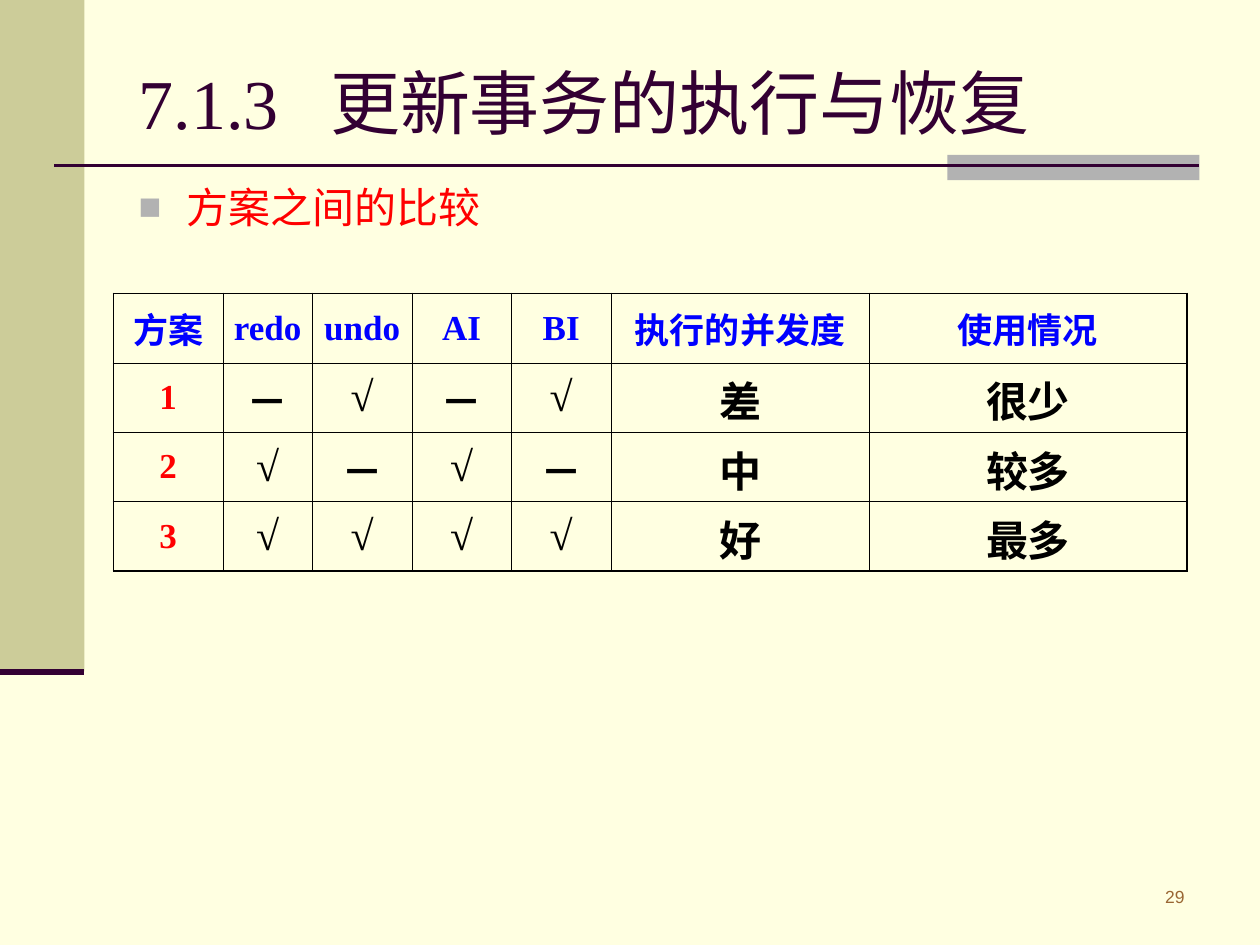
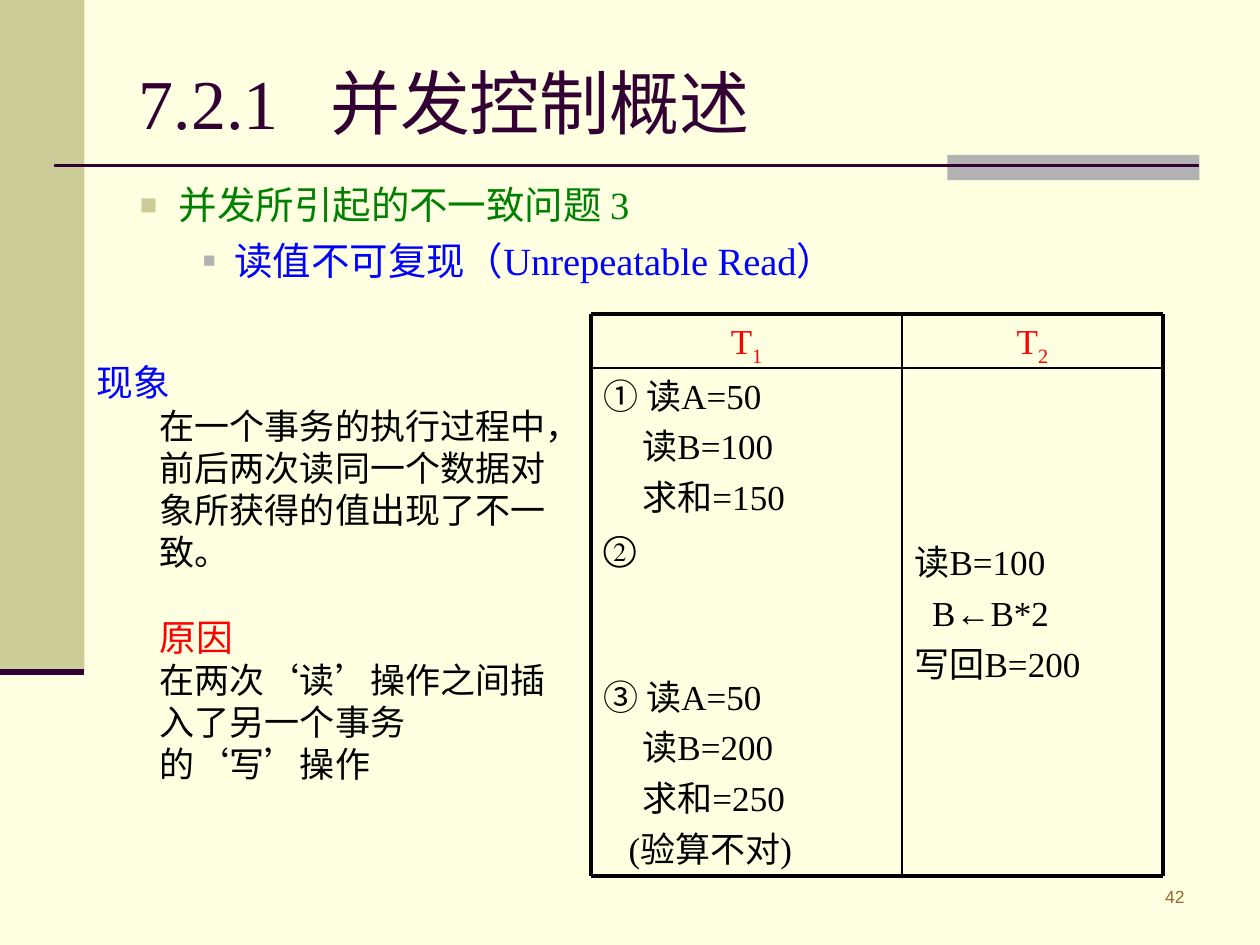
from lxml import etree
from pptx import Presentation
from pptx import util as u
from pptx.dml.color import RGBColor
from pptx.enum import shapes, text
from pptx.oxml import ns

# Shared palette and fonts
CREAM, KHAKI, GRAY, PLUM, BROWN = "FFFFE1", "CCCC99", "B2B2B2", "330033", "996633"
RED, BLUE, GREEN, BLACK = "FF0000", "0000FF", "008000", "000000"
SERIF, SANS, CJK, NOTE = "Times New Roman", "Arial", "Noto Sans CJK SC", "Karla"

# The slide is a grid of 100 columns by 75 rows with square cells
COLUMNS, ROWS = 100, 75
CELL = u.Inches(0.1)
LEFT, CENTER, RIGHT = text.PP_ALIGN.LEFT, text.PP_ALIGN.CENTER, text.PP_ALIGN.RIGHT


def cells(*counts):
    return [u.Emu(round(count * CELL)) for count in counts]


def color(hex_code):
    return RGBColor.from_string(hex_code)


def add_xml(parent, tag, **attributes):
    return etree.SubElement(parent, ns.qn(tag), attributes)


def style(paragraph, size, hex_code, name=SERIF, bold=False, align=LEFT, before=0):
    paragraph.alignment = align
    paragraph.space_before = u.Pt(before)
    font = paragraph.font
    font.size, font.name, font.bold = u.Pt(size), name, bold
    font.color.rgb = color(hex_code)


def indent(paragraph, margin, first=0):
    properties = paragraph._p.get_or_add_pPr()
    margin, first = cells(margin, first)
    properties.set("marL", str(margin))
    properties.set("indent", str(first))
    return properties


def add_paragraph(frame, wording):
    first = frame.paragraphs[0]
    paragraph = frame.add_paragraph() if first.runs else first
    paragraph.add_run().text = wording
    return paragraph


def add_text_box(slide, box):
    frame = slide.shapes.add_textbox(*cells(*box)).text_frame
    frame.word_wrap = True
    return frame


def add_band(slide, box, hex_code):
    band = slide.shapes.add_shape(shapes.MSO_SHAPE.RECTANGLE, *cells(*box))
    band.shadow.inherit = False
    band.fill.solid()
    band.fill.fore_color.rgb = color(hex_code)
    band.line.fill.background()


def add_line(slide, start, end, hex_code, width):
    line = slide.shapes.add_connector(
        shapes.MSO_CONNECTOR.STRAIGHT, *cells(*start, *end))
    line.line.color.rgb = color(hex_code)
    line.line.width = u.Pt(width)
    add_xml(line._element.spPr, "a:effectLst")


def move(placeholder, box):
    placeholder.left, placeholder.top, placeholder.width, placeholder.height = cells(*box)
    placeholder.text_frame.auto_size = text.MSO_AUTO_SIZE.NONE
    return placeholder.text_frame


def add_framed_slide(presentation, number, heading, page):
    """Slide with the side band, title rule, title and page number."""
    slide = presentation.slides.add_slide(presentation.slide_layouts[1])
    # Side band and title rule
    add_band(slide, (0, 0, 6.7, 53.3), KHAKI)
    add_band(slide, (75.2, 12.3, 20, 2), GRAY)
    add_line(slide, (4.3, 13.15), (95.2, 13.15), PLUM, 1.5)
    add_line(slide, (0, 53.3), (6.7, 53.3), PLUM, 3.5)
    # Page number
    page_paragraph = add_paragraph(add_text_box(slide, (82.3, 69.8, 12.7, 3.5)), page)
    style(page_paragraph, 10, BROWN, SANS, align=RIGHT)
    # Title, with a tab between section number and heading
    frame = move(slide.shapes.title, (10, 3, 85, 10.1))
    frame.vertical_anchor = text.MSO_ANCHOR.MIDDLE
    title = add_paragraph(frame, f"{number}\t{heading}")
    tabs = add_xml(title._p.get_or_add_pPr(), "a:tabLst")
    add_xml(tabs, "a:tab", pos=str(cells(15.2)[0]), algn="l")
    style(title, 40, PLUM)
    return slide


def add_bullets(slide, box, bullets):
    """Fill the body placeholder with square-bulleted lines."""
    frame = move(slide.placeholders[1], box)
    for wording, level, margin, hang, bullet_color, percent, size, hex_code, name in bullets:
        paragraph = add_paragraph(frame, wording)
        paragraph.level = level
        properties = indent(paragraph, margin, -hang)
        add_xml(add_xml(properties, "a:buClr"), "a:srgbClr", val=bullet_color)
        add_xml(properties, "a:buSzPct", val=str(percent * 1000))
        add_xml(properties, "a:buFont", typeface=SANS)
        add_xml(properties, "a:buChar", char="■")
        before = 0 if paragraph is frame.paragraphs[0] or len(frame.paragraphs) == 1 else size / 4
        style(paragraph, size, hex_code, name, before=before)


def set_borders(cell, outer_sides):
    properties = cell._tc.get_or_add_tcPr()
    for side in "LRTB":
        width = u.Pt(1.08 if side in outer_sides else 0.45)
        line = add_xml(properties, f"a:ln{side}", w=str(width))
        add_xml(add_xml(line, "a:solidFill"), "a:srgbClr", val=BLACK)


def add_scheme_table(slide, box, widths, records):
    last_row, last_column = len(records) - 1, len(widths) - 1
    table = slide.shapes.add_table(len(records), len(widths), *cells(*box)).table
    table.first_row = table.horz_banding = False
    for column, width in zip(table.columns, cells(*widths)):
        column.width = width
    for row, record in enumerate(records):
        for column, wording in enumerate(record):
            cell = table.cell(row, column)
            outer = {"L": column == 0, "R": column == last_column,
                     "T": row == 0, "B": row == last_row}
            set_borders(cell, [side for side, is_outer in outer.items() if is_outer])
            cell.fill.background()
            cell.vertical_anchor = text.MSO_ANCHOR.MIDDLE
            cell.margin_left, cell.margin_right = cells(0.2, 0.2)
            size, hex_code = ((20, BLUE) if row == 0 else
                              (20, RED) if column == 0 else (24, BLACK))
            style(add_paragraph(cell.text_frame, wording), size, hex_code,
                  bold=True, align=CENTER)


def add_schedule(slide, box, split, header, transactions):
    """Ruled two-column schedule: one column of steps per transaction."""
    left, top, width, height = box
    edges_x = (left, left + split, left + width)
    edges_y = (top, top + header, top + height)
    # Headings and steps
    for index, (offset, steps) in enumerate(transactions):
        x, column_width = edges_x[index], edges_x[index + 1] - edges_x[index]
        heading = add_paragraph(add_text_box(slide, (x, top, column_width, header)), "T")
        subscript = heading.add_run()
        subscript.text = str(index + 1)
        subscript._r.get_or_add_rPr().set("baseline", "-25000")
        style(heading, 20, RED, align=CENTER)
        frame = add_text_box(slide, (x, edges_y[1], column_width, height - header))
        frame.margin_top = cells(offset)[0]
        for wording, margin, before in steps:
            paragraph = add_paragraph(frame, wording)
            indent(paragraph, margin)
            style(paragraph, 20, BLACK, before=before)
    # Rules: heavy outside, light inside
    for y, weight in zip(edges_y, (2.25, 1, 2.25)):
        add_line(slide, (left, y), (left + width, y), BLACK, weight)
    for x, weight in zip(edges_x, (2.25, 1, 2.25)):
        add_line(slide, (x, top), (x, top + height), BLACK, weight)


def add_explanation(slide, box, lines):
    frame = add_text_box(slide, box)
    for wording, margin, size, hex_code, before in lines:
        paragraph = add_paragraph(frame, wording)
        indent(paragraph, margin)
        style(paragraph, size, hex_code, NOTE, before=before)


def build_comparison_slide(presentation):
    slide = add_framed_slide(presentation, "7.1.3", "更新事务的执行与恢复", "29")
    add_bullets(slide, (10, 13.9, 85, 55.1), [
        ("方案之间的比较", 0, 3.8, 3.8, GRAY, 90, 24, RED, CJK)])
    add_scheme_table(slide, (9, 23.3, 85.1, 22), (8.7, 7.1, 7.9, 7.9, 7.9, 20.5, 25.2), [
        ("方案", "redo", "undo", "AI", "BI", "执行的并发度", "使用情况"),
        ("1", "－", "√", "－", "√", "差", "很少"),
        ("2", "√", "－", "√", "－", "中", "较多"),
        ("3", "√", "√", "√", "√", "好", "最多")])


def build_concurrency_slide(presentation):
    slide = add_framed_slide(presentation, "7.2.1", "并发控制概述", "42")
    add_bullets(slide, (5.1, 13.9, 89.9, 55.1), [
        ("并发所引起的不一致问题 3", 1, 8.1, 3.1, KHAKI, 75, 22, GREEN, SERIF),
        ("读值不可复现（Unrepeatable Read）", 2, 12.5, 2.5, GRAY, 55, 22, BLUE, SERIF)])
    first_steps = [
        ("① 读A=50", 0, 0), ("读B=100", 3.1, 5), ("求和=150", 3.1, 5), ("②", 0, 5),
        ("③ 读A=50", 0, 61), ("读B=200", 3.1, 5), ("求和=250", 3.1, 5),
        ("(验算不对)", 2, 5)]
    second_steps = [("读B=100", 0, 0), ("B←B*2", 1.4, 5), ("写回B=200", 0, 5)]
    add_schedule(slide, (46.9, 24.9, 45.4, 44.6), 24.7, 4.3,
                 [(0.5, first_steps), (13.7, second_steps)])
    add_explanation(slide, (6.7, 28.1, 39.4, 34.7), [
        ("现象", 0, 21, BLUE, 0),
        ("在一个事务的执行过程中，前后两次读同一个数据对象所获得的值出现了不一致。",
         5, 20, BLACK, 0),
        ("原因", 5, 21, RED, 24),
        ("在两次‘读’操作之间插入了另一个事务的‘写’操作", 5, 20, BLACK, 0)])


def main():
    presentation = Presentation()
    presentation.slide_width, presentation.slide_height = cells(COLUMNS, ROWS)
    background = presentation.slide_master.background.fill
    background.solid()
    background.fore_color.rgb = color(CREAM)
    build_comparison_slide(presentation)
    build_concurrency_slide(presentation)
    presentation.save("out.pptx")


if __name__ == "__main__":
    main()
